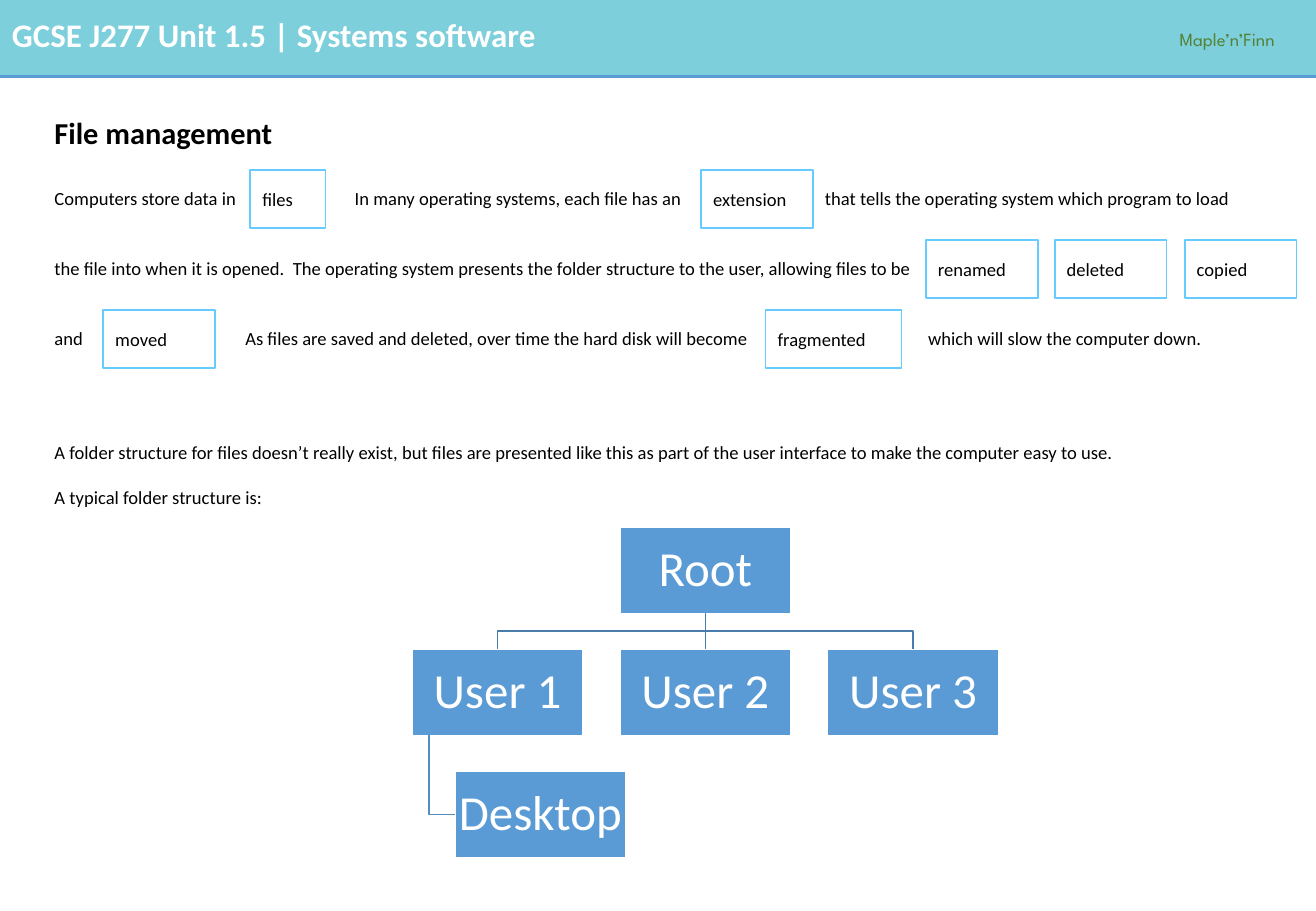
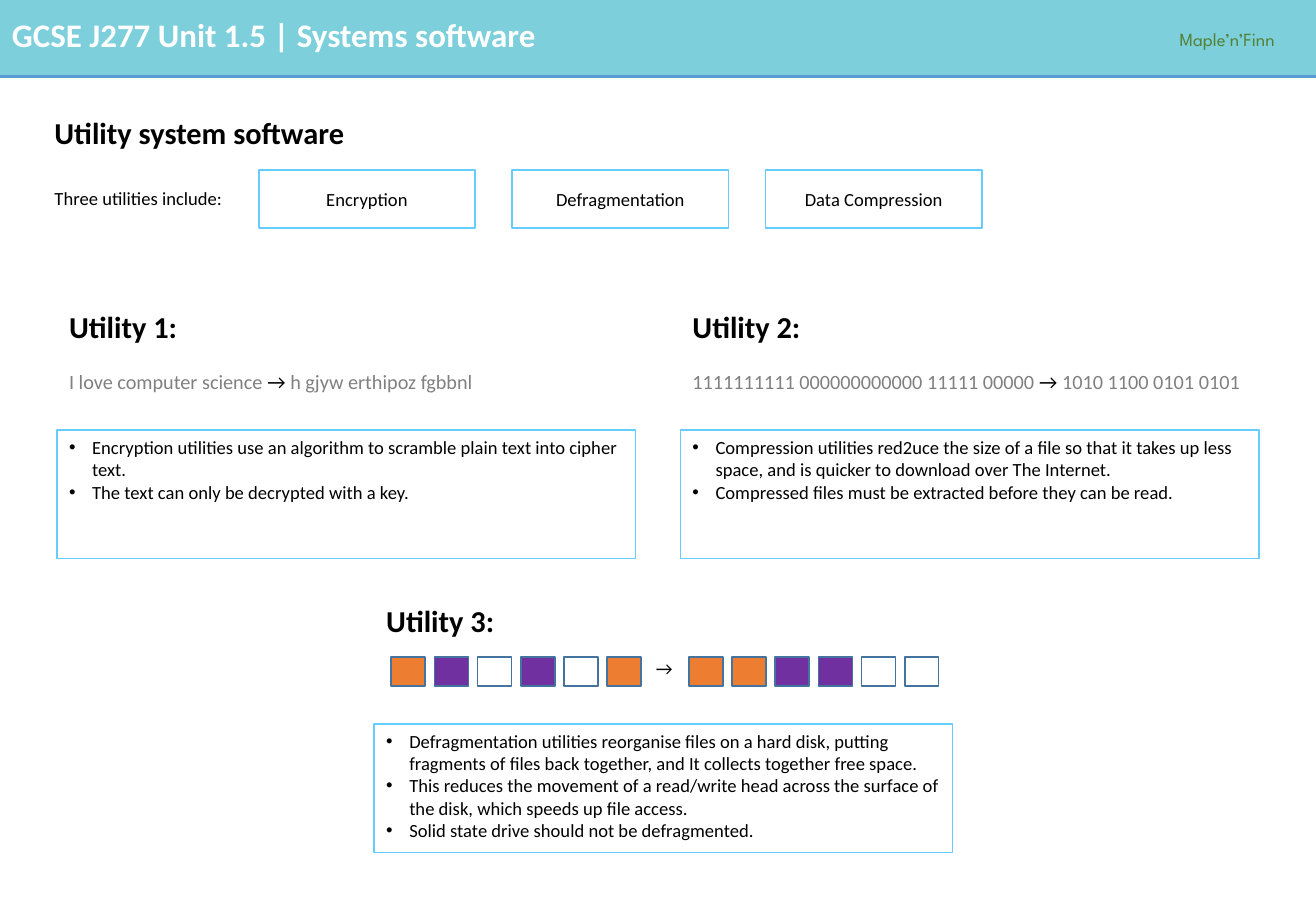
"""Build two revision slides on file management and utility software."""
from dataclasses import dataclass

from lxml import etree
from pptx import Presentation
from pptx.dml.color import RGBColor
from pptx.enum.shapes import MSO_CONNECTOR, MSO_SHAPE
from pptx.enum.text import MSO_ANCHOR, PP_ALIGN
from pptx.oxml.ns import qn
from pptx.util import Inches, Pt

RECTANGLE = MSO_SHAPE.RECTANGLE
STRAIGHT = MSO_CONNECTOR.STRAIGHT
TOP, MIDDLE = MSO_ANCHOR.TOP, MSO_ANCHOR.MIDDLE
LEFT, CENTER = PP_ALIGN.LEFT, PP_ALIGN.CENTER


@dataclass(frozen=True)
class Theme:
    """Colours, fonts and type sizes."""
    font: str = "Calibri"
    label_font: str = "League Spartan"
    black: str = "000000"
    white: str = "FFFFFF"
    grey: str = "808080"
    band: str = "7CCFDB"
    blue: str = "5B9BD5"
    answer: str = "66CCFF"
    label: str = "548235"
    branch: str = "497CAB"
    twig: str = "538DC1"
    block_edge: str = "43739E"
    orange: str = "ED7D31"
    purple: str = "7030A0"
    banner_size: float = 19.5
    heading_size: float = 18
    example_size: float = 12
    body_size: float = 11
    node_size: float = 29


THEME = Theme()
WIDTH, HEIGHT = 10.83, 7.5
MARGIN = 0.35
BAND_HEIGHT = 0.63
ROW_TOP, ROW_PITCH = 1.4, 0.575
ANSWER_HEIGHT, PHRASE_HEIGHT, PHRASE_DROP = 0.48, 0.29, 0.09
UTILITY_LEFT, UTILITY_PITCH, UTILITY_WIDTH = 2.13, 2.085, 1.78
NODE_WIDTH, NODE_HEIGHT = 1.41, 0.71
NODE_LEFT, NODE_TOP = 3.39, 4.34
NODE_PITCH_X, NODE_PITCH_Y = 1.71, 1.005
CARD_WIDTH, CARD_HEIGHT = 4.76, 1.06
HEADING_HEIGHT, CARD_DROP = 0.56, 1.11
BLOCK_PITCH, BLOCK_WIDTH, BLOCK_HEIGHT = 0.355, 0.28, 0.24

CLOZE_ROWS = [
    [("phrase", 0.35, 1.75, "Computers store data in"),
     ("answer", 2.06, 0.62, "files"),
     ("phrase", 2.82, 2.98, "In many operating systems, each file has an"),
     ("answer", 5.77, 0.92, "extension"),
     ("phrase", 6.69, 3.76, "that tells the operating system which program to load")],
    [("phrase", 0.35, 7.36, "the file into when it is opened.  The operating system presents "
                            "the folder structure to the user, allowing files to be"),
     ("answer", 7.62, 0.92, "renamed"),
     ("answer", 8.68, 0.92, "deleted"),
     ("answer", 9.75, 0.92, "copied")],
    [("phrase", 0.35, 0.5, "and"),
     ("answer", 0.85, 0.92, "moved"),
     ("phrase", 1.92, 4.45, "As files are saved and deleted, over time the hard disk will become"),
     ("answer", 6.3, 1.12, "fragmented"),
     ("phrase", 7.54, 3.13, "which will slow the computer down.")],
]
FOLDER_NOTES = [
    "A folder structure for files doesn’t really exist, but files are presented like this "
    "as part of the user interface to make the computer easy to use.",
    "A typical folder structure is:",
]
UTILITIES = ["Encryption", "Defragmentation", "Data Compression"]
CARDS = [
    (0.47, 2.43, "Utility 1:", [
        "Encryption utilities use an algorithm to scramble plain text into cipher text.",
        "The text can only be decrypted with a key."]),
    (5.6, 2.43, "Utility 2:", [
        "Compression utilities red2uce the size of a file so that it takes up less space, "
        "and is quicker to download over The Internet.",
        "Compressed files must be extracted before they can be read."]),
    (3.08, 4.85, "Utility 3:", [
        "Defragmentation utilities reorganise files on a hard disk, putting fragments of "
        "files back together, and It collects together free space.",
        "This reduces the movement of a read/write head across the surface of the disk, "
        "which speeds up file access.",
        "Solid state drive should not be defragmented."]),
]
EXAMPLES = [
    (0.47, "I love computer science ", " h gjyw erthipoz fgbbnl"),
    (5.6, "1111111111 000000000000 11111 00000 ", " 1010 1100 0101 0101"),
]
DISKS = [
    (3.22, ["orange", "purple", "white", "purple", "white", "orange"]),
    (5.67, ["orange", "orange", "purple", "purple", "white", "white"]),
]


def color(value):
    """Turn a hex string into a colour."""
    return RGBColor.from_string(value)


def box(left, top, width, height):
    """Turn inches into slide lengths."""
    return [Inches(length) for length in (left, top, width, height)]


def add_bullet(paragraph):
    """Give a paragraph a hanging bullet."""
    properties = paragraph._p.get_or_add_pPr()
    properties.set("marL", str(Inches(0.19)))
    properties.set("indent", str(-Inches(0.19)))
    etree.SubElement(properties, qn("a:buFont")).set("typeface", "Arial")
    etree.SubElement(properties, qn("a:buChar")).set("char", "•")


def write(shape, lines, size=THEME.body_size, ink=THEME.black, bold=False, font=THEME.font,
          anchor=TOP, align=LEFT, spacing=None, gap=0, bullets=False):
    """Fill a shape with one paragraph per line, each a string or a list of runs."""
    frame = shape.text_frame
    frame.word_wrap = True
    frame.vertical_anchor = anchor
    for index, line in enumerate(lines):
        paragraph = frame.add_paragraph() if index else frame.paragraphs[0]
        if bullets:
            add_bullet(paragraph)
        for text in [line] if isinstance(line, str) else line:
            paragraph.add_run().text = text
        paragraph.alignment = align
        paragraph.line_spacing = spacing
        paragraph.space_before = Pt(gap if index else 0)
        paragraph.font.name = font
        paragraph.font.size = Pt(size)
        paragraph.font.bold = bold
        paragraph.font.color.rgb = color(ink)


def add_text(slide, place, lines, **style):
    """Add a text box."""
    shape = slide.shapes.add_textbox(*box(*place))
    write(shape, lines, **style)
    return shape


def add_box(slide, place, fill=None, line=None):
    """Add a flat rectangle with optional fill and outline."""
    shape = slide.shapes.add_shape(RECTANGLE, *box(*place))
    shape.shadow.inherit = False
    if fill:
        shape.fill.solid()
        shape.fill.fore_color.rgb = color(fill)
    else:
        shape.fill.background()
    if line:
        shape.line.color.rgb = color(line)
        shape.line.width = Pt(1)
    else:
        shape.line.fill.background()
    return shape


def add_line(slide, start, end, ink, weight=1):
    """Add a straight line."""
    line = slide.shapes.add_connector(STRAIGHT, *box(*start, *end))
    line.line.color.rgb = color(ink)
    line.line.width = Pt(weight)
    etree.SubElement(line._element.spPr, qn("a:effectLst"))


def add_bent_line(slide, points, ink):
    """Add an open line through the given points."""
    start, *rest = [(Inches(x), Inches(y)) for x, y in points]
    builder = slide.shapes.build_freeform(*start)
    builder.add_line_segments(rest, close=False)
    shape = builder.convert_to_shape()
    shape.shadow.inherit = False
    shape.fill.background()
    shape.line.color.rgb = color(ink)
    shape.line.width = Pt(1)


def add_heading(slide, left, top, width, text):
    """Add a bold heading."""
    add_text(slide, (left, top, width, HEADING_HEIGHT), [text], size=THEME.heading_size,
             bold=True, anchor=MIDDLE, spacing=0.9)


def add_phrase(slide, left, width, row, text):
    """Add plain words on a sentence row."""
    top = ROW_TOP + row * ROW_PITCH + PHRASE_DROP
    add_text(slide, (left, top, width, PHRASE_HEIGHT), [text])


def add_answer(slide, left, width, row, text, align=LEFT):
    """Add an outlined answer on a sentence row."""
    place = (left, ROW_TOP + row * ROW_PITCH, width, ANSWER_HEIGHT)
    write(add_box(slide, place, line=THEME.answer), [text], anchor=MIDDLE, align=align)


def add_node(slide, column, row, text):
    """Add a folder and return its left, top and centre."""
    left = NODE_LEFT + column * NODE_PITCH_X
    top = NODE_TOP + row * NODE_PITCH_Y
    node = add_box(slide, (left, top, NODE_WIDTH, NODE_HEIGHT), THEME.blue, THEME.white)
    frame = node.text_frame
    frame.margin_left = frame.margin_right = Inches(0.02)
    frame.margin_top = frame.margin_bottom = Inches(0.02)
    write(node, [text], size=THEME.node_size, ink=THEME.white, anchor=MIDDLE,
          align=CENTER, spacing=0.9)
    return left, top, left + NODE_WIDTH / 2


def add_folder_tree(slide):
    """Draw the folder hierarchy."""
    _, root_top, root_x = add_node(slide, 1, 0, "Root")
    users = [add_node(slide, column, 1, f"User {column + 1}") for column in range(3)]
    root_bottom = root_top + NODE_HEIGHT
    user_left, user_top, _ = users[0]
    bend = (root_bottom + user_top) / 2
    add_line(slide, (root_x, root_bottom), (root_x, user_top), THEME.branch)
    for _, _, user_x in (users[0], users[2]):
        add_bent_line(slide, [(root_x, root_bottom), (root_x, bend), (user_x, bend),
                              (user_x, user_top)], THEME.branch)
    child_left, child_top, _ = add_node(slide, NODE_WIDTH / 4 / NODE_PITCH_X, 2, "Desktop")
    stem, child_y = user_left + NODE_WIDTH / 10, child_top + NODE_HEIGHT / 2
    add_bent_line(slide, [(stem, user_top + NODE_HEIGHT), (stem, child_y),
                          (child_left, child_y)], THEME.twig)


def add_card(slide, left, top, title, points):
    """Add a heading above an outlined bullet list."""
    add_heading(slide, left, top, 4.29, title)
    card = add_box(slide, (left, top + CARD_DROP, CARD_WIDTH, CARD_HEIGHT), line=THEME.answer)
    write(card, points, bullets=True)


def add_example(slide, left, before, after):
    """Add a grey before and after pair with a black arrow."""
    shape = add_text(slide, (left, 2.99, 4.9, 0.3), [[before, "→", after]],
                     size=THEME.example_size, ink=THEME.grey)
    shape.text_frame.paragraphs[0].runs[1].font.color.rgb = color(THEME.black)


def add_disk(slide, left, blocks):
    """Add a row of disk blocks."""
    for index, name in enumerate(blocks):
        place = (left + index * BLOCK_PITCH, 5.41, BLOCK_WIDTH, BLOCK_HEIGHT)
        add_box(slide, place, getattr(THEME, name), THEME.block_edge)


def start_slide(presentation, title):
    """Add a slide with the shared banner and its title."""
    slide = presentation.slides.add_slide(presentation.slide_layouts[6])
    add_box(slide, (0, 0, WIDTH, BAND_HEIGHT), THEME.band)
    add_line(slide, (0, BAND_HEIGHT), (WIDTH, BAND_HEIGHT), THEME.blue, 2.25)
    add_text(slide, (0, 0.07, 9.48, 0.43), ["GCSE J277 Unit 1.5 | Systems software"],
             size=THEME.banner_size, ink=THEME.white, bold=True)
    add_text(slide, (9.61, 0.17, 1.22, 0.29), ["Maple’n’Finn"], ink=THEME.label,
             font=THEME.label_font, spacing=1.07)
    add_heading(slide, MARGIN, 0.83, 10.1, title)
    return slide


def build_file_management(presentation):
    """Build the file management slide."""
    slide = start_slide(presentation, "File management")
    adders = {"phrase": add_phrase, "answer": add_answer}
    for row, pieces in enumerate(CLOZE_ROWS):
        for kind, left, width, text in pieces:
            adders[kind](slide, left, width, row, text)
    add_text(slide, (MARGIN, 3.58, 10.1, 0.66), FOLDER_NOTES, gap=13.4)
    add_folder_tree(slide)


def build_utilities(presentation):
    """Build the utility software slide."""
    slide = start_slide(presentation, "Utility system software")
    add_phrase(slide, MARGIN, 1.65, 0, "Three utilities include:")
    for index, name in enumerate(UTILITIES):
        add_answer(slide, UTILITY_LEFT + index * UTILITY_PITCH, UTILITY_WIDTH, 0, name, CENTER)
    for card in CARDS:
        add_card(slide, *card)
    for example in EXAMPLES:
        add_example(slide, *example)
    for disk in DISKS:
        add_disk(slide, *disk)
    add_text(slide, (5.3, 5.36, 0.35, 0.29), ["→"])


def main():
    """Build and save the presentation."""
    presentation = Presentation()
    presentation.slide_width, presentation.slide_height = Inches(WIDTH), Inches(HEIGHT)
    build_file_management(presentation)
    build_utilities(presentation)
    presentation.save("out.pptx")


if __name__ == "__main__":
    main()
